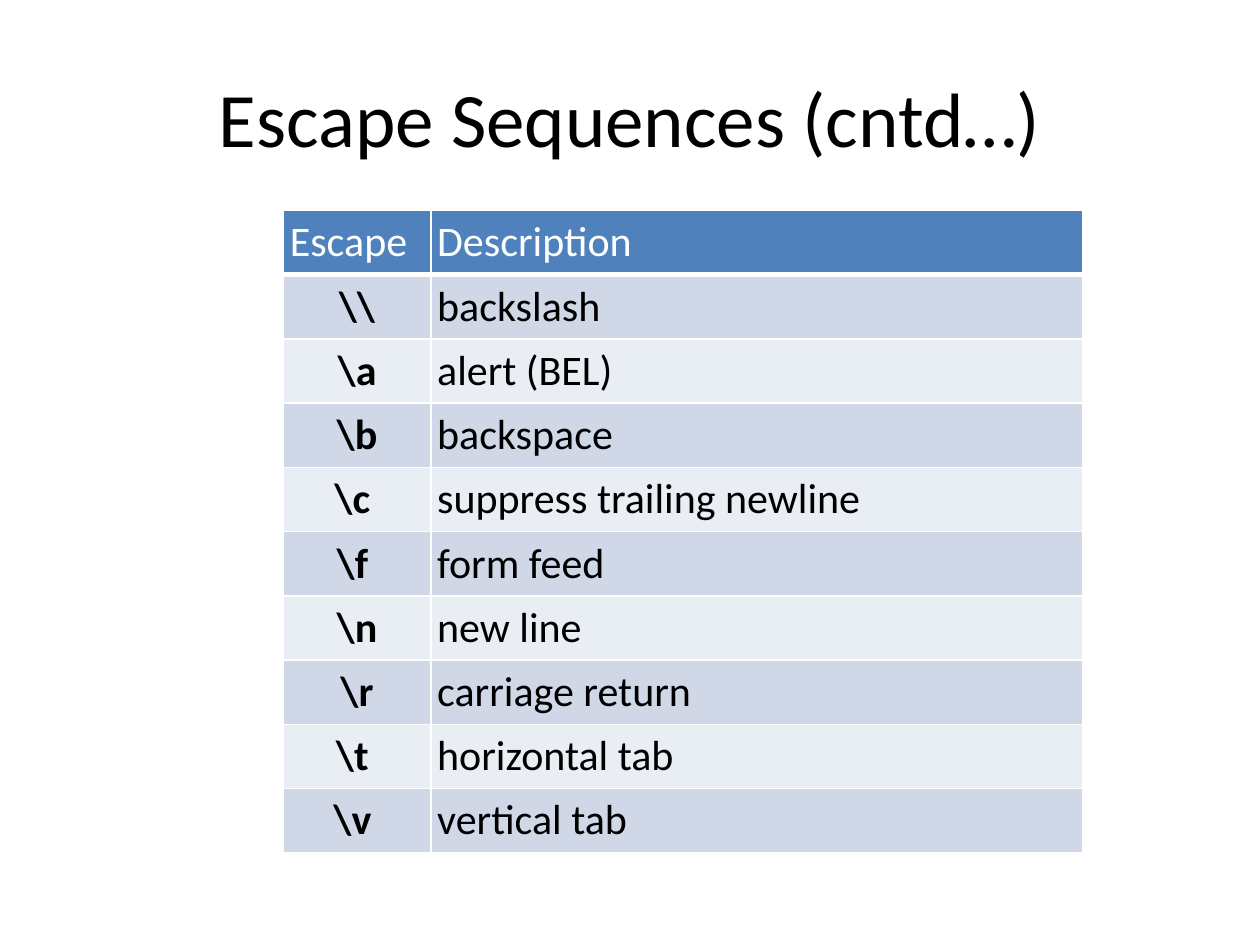
from dataclasses import dataclass

from lxml.etree import SubElement
from pptx import Presentation
from pptx.dml.color import RGBColor
from pptx.enum.text import MSO_ANCHOR as Anchor, PP_ALIGN as Align
from pptx.oxml.ns import qn
from pptx.util import Inches, Pt

COLORS = {
    "black": "000000",
    "white": "FFFFFF",
    "header": "4F81BD",
    "band_dark": "D0D8E8",
    "band_light": "E9EDF4",
}
SLIDE_W, SLIDE_H = Inches(10), Inches(7.5)
COL_WIDTHS = (1.17, 5.17)
ROW_HEIGHT = 0.51
CELL_INSET = Inches(0.05)


@dataclass(frozen=True)
class Escape:
    code: str
    description: str


HEADER = Escape("Escape", "Description")
ESCAPES = (
    Escape(r"\\", "backslash"),
    Escape(r"\a", "alert (BEL)"),
    Escape(r"\b", "backspace"),
    Escape(r"\c ", "suppress trailing newline"),
    Escape(r"\f ", "form feed"),
    Escape(r"\n", "new line"),
    Escape(r"\r", "carriage return"),
    Escape(r"\t ", "horizontal tab"),
    Escape(r"\v ", "vertical tab"),
)


def rgb(name: str) -> RGBColor:
    return RGBColor.from_string(COLORS[name])


def write(tf, text: str, *, size: float = 24, color: str = "black",
          bold: bool = False, align=Align.LEFT) -> None:
    p = tf.paragraphs[0]
    p.alignment = align
    r = p.add_run()
    r.text = text
    r.font.name = "Calibri"
    r.font.size = Pt(size)
    r.font.bold = bold
    r.font.color.rgb = rgb(color)


def add_borders(cell, bottom: float = 1) -> None:
    tc_pr = cell._tc.get_or_add_tcPr()
    for side, width in (("L", 1), ("R", 1), ("T", 1), ("B", bottom)):
        ln = SubElement(tc_pr, qn(f"a:ln{side}"), w=str(Pt(width)))
        fill = SubElement(ln, qn("a:solidFill"))
        SubElement(fill, qn("a:srgbClr"), val=COLORS["white"])


def fill_cell(cell, text: str, fill: str, bottom: float = 1, **fmt) -> None:
    cell.margin_left = cell.margin_right = CELL_INSET
    cell.margin_top = cell.margin_bottom = CELL_INSET
    cell.vertical_anchor = Anchor.MIDDLE
    add_borders(cell, bottom)
    cell.fill.solid()
    cell.fill.fore_color.rgb = rgb(fill)
    write(cell.text_frame, text, **fmt)


def add_title(s, text: str) -> None:
    sp = s.shapes.add_textbox(int(SLIDE_W * 0.05), int(SLIDE_H * 0.04),
                              int(SLIDE_W * 0.9), Inches(1.25))
    tf = sp.text_frame
    tf.word_wrap = True
    tf.vertical_anchor = Anchor.MIDDLE
    write(tf, text, size=44, align=Align.CENTER)


def add_escape_table(s, escapes: tuple[Escape, ...]) -> None:
    rows = len(escapes) + 1
    table = s.shapes.add_table(
        rows, len(COL_WIDTHS), Inches(2.25), Inches(1.67),
        Inches(sum(COL_WIDTHS)), Inches(ROW_HEIGHT * rows)).table
    for column, width in zip(table.columns, COL_WIDTHS):
        column.width = Inches(width)
    for row in table.rows:
        row.height = Inches(ROW_HEIGHT)
    for col, text in enumerate((HEADER.code, HEADER.description)):
        fill_cell(table.cell(0, col), text, "header", bottom=3, color="white")
    for row, escape in enumerate(escapes, 1):
        band = "band_dark" if row % 2 else "band_light"
        fill_cell(table.cell(row, 0), escape.code, band,
                  bold=True, align=Align.CENTER)
        fill_cell(table.cell(row, 1), escape.description, band)


def main() -> None:
    prs = Presentation()
    prs.slide_width, prs.slide_height = SLIDE_W, SLIDE_H
    s = prs.slides.add_slide(prs.slide_layouts[6])
    add_title(s, "Escape Sequences (cntd…)")
    add_escape_table(s, ESCAPES)
    prs.save("out.pptx")


if __name__ == "__main__":
    main()
